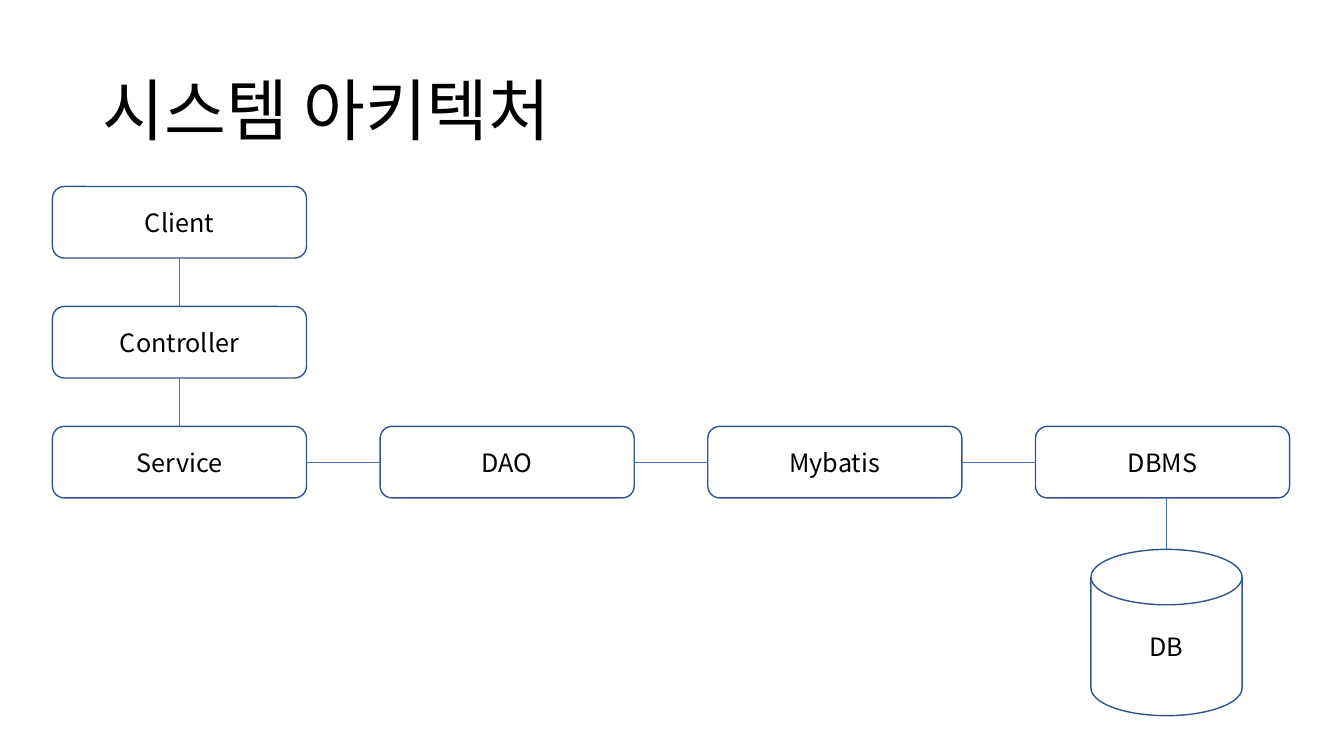
from lxml.etree import SubElement
from pptx import Presentation
from pptx.dml.color import RGBColor
from pptx.enum.shapes import MSO_CONNECTOR, MSO_SHAPE
from pptx.enum.text import MSO_ANCHOR, MSO_AUTO_SIZE, PP_ALIGN
from pptx.oxml.ns import qn
from pptx.util import Pt

PX = 9144
BODY_FONT = "Noto Sans CJK KR"
BOX_W, BOX_H = 252, 71
STEP_X, STEP_Y = 325, 119
BOTTOM, RIGHT, TOP, LEFT = 2, 3, 0, 1


def px(*lengths):
    return [n * PX for n in lengths]


def color(hex_code):
    return RGBColor.from_string(hex_code)


def write(tf, text, size, font, align):
    tf.word_wrap = True
    tf.vertical_anchor = MSO_ANCHOR.MIDDLE
    p = tf.paragraphs[0]
    p.alignment = align
    r = p.add_run()
    r.text = text
    r.font.size = Pt(size)
    r.font.name = font
    r.font.color.rgb = color("000000")
    SubElement(r._r.get_or_add_rPr(), qn("a:ea"), typeface=BODY_FONT)
    return p


def add_title(s, text, x, y, w, h):
    sp = s.shapes.title
    sp.left, sp.top, sp.width, sp.height = px(x, y, w, h)
    sp.text_frame.auto_size = MSO_AUTO_SIZE.NONE
    p = write(sp.text_frame, text, 48, "Arial", PP_ALIGN.LEFT)
    p.line_spacing = 0.9


def add_node(s, text, x, y, w=BOX_W, h=BOX_H, kind=MSO_SHAPE.ROUNDED_RECTANGLE):
    sp = s.shapes.add_shape(kind, *px(x, y, w, h))
    sp.shadow.inherit = False
    sp.fill.solid()
    sp.fill.fore_color.rgb = color("FFFFFF")
    sp.line.color.rgb = color("325491")
    sp.line.width = Pt(1)
    write(sp.text_frame, text, 18, BODY_FONT, PP_ALIGN.CENTER)
    return sp


def add_link(s, x1=0, y1=0, x2=0, y2=0):
    c = s.shapes.add_connector(MSO_CONNECTOR.STRAIGHT, *px(x1, y1, x2, y2))
    c.line.color.rgb = color("4472C4")
    c.line.width = Pt(0.5)
    SubElement(c._element.spPr, qn("a:effectLst"))
    return c


def join(s, start, start_side, end, end_side):
    c = add_link(s)
    c.begin_connect(start, start_side)
    c.end_connect(end, end_side)


def add_architecture(s, x, y):
    column = [add_node(s, name, x, y + i * STEP_Y)
              for i, name in enumerate(["Client", "Controller", "Service"])]
    row_y = y + 2 * STEP_Y
    row = column[-1:] + [add_node(s, name, x + i * STEP_X, row_y)
                         for i, name in enumerate(["DAO", "Mybatis", "DBMS"], 1)]
    for upper, lower in zip(column, column[1:]):
        join(s, upper, BOTTOM, lower, TOP)
    for left, right in zip(row, row[1:]):
        join(s, left, RIGHT, right, LEFT)

    disk_w, disk_h = 150, 165
    disk_x, disk_y = x + 3 * STEP_X + 55, row_y + 122
    center = disk_x + disk_w // 2
    add_link(s, center, row_y + BOX_H, center, disk_y)
    add_node(s, "DB", disk_x, disk_y, disk_w, disk_h,
             MSO_SHAPE.FLOWCHART_MAGNETIC_DISK)


def main():
    prs = Presentation()
    prs.slide_width, prs.slide_height = px(1333, 750)
    s = prs.slides.add_slide(prs.slide_layouts[5])
    add_title(s, "시스템 아키텍처", 92, 40, 1150, 145)
    add_architecture(s, 52, 185)
    prs.save("out.pptx")


if __name__ == "__main__":
    main()
